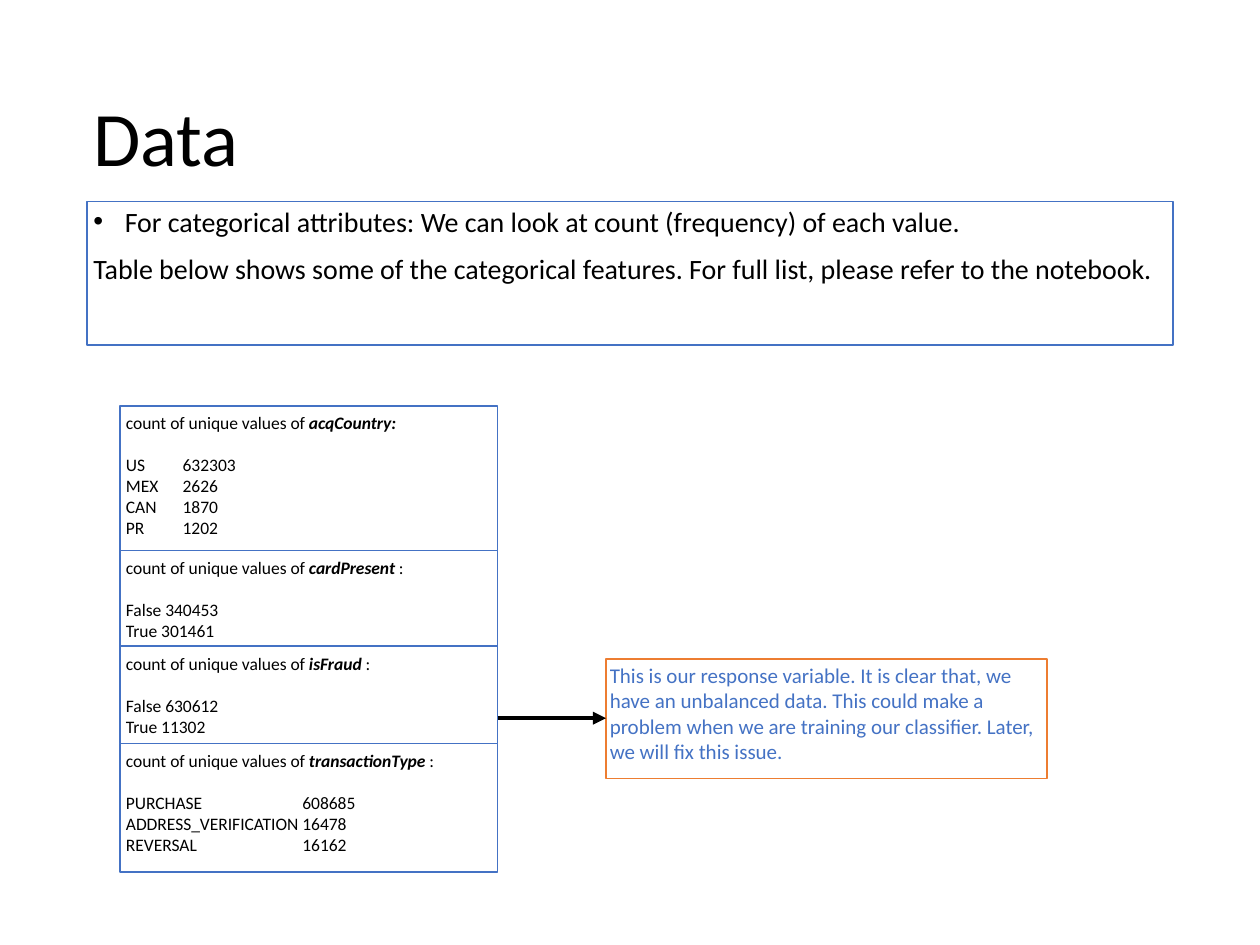
from dataclasses import dataclass
from lxml.etree import SubElement
from pptx import Presentation
from pptx.dml.color import RGBColor
from pptx.enum.shapes import MSO_CONNECTOR, MSO_SHAPE
from pptx.enum.text import MSO_ANCHOR, MSO_AUTO_SIZE, PP_ALIGN
from pptx.oxml.ns import qn
from pptx.util import Inches, Pt


@dataclass
class Theme:
    face: str = "Calibri"
    ink: str = "000000"
    paper: str = "FFFFFF"
    blue: str = "4472C4"
    orange: str = "ED7D31"
    title: int = 44
    body: int = 16
    note: int = 12
    count: int = 10


theme = Theme()


def frame(shape, edge, pad=0.05, anchor=MSO_ANCHOR.TOP):
    """Paint the box and set its text margins."""
    if edge:
        shape.fill.solid()
        shape.fill.fore_color.rgb = RGBColor.from_string(theme.paper)
        shape.line.color.rgb = RGBColor.from_string(edge)
        shape.line.width = Pt(1)
    text = shape.text_frame
    text.word_wrap = True
    text.auto_size = MSO_AUTO_SIZE.NONE
    text.vertical_anchor = anchor
    text.margin_left = text.margin_right = Inches(pad)
    text.margin_top = text.margin_bottom = Inches(pad)
    return text


def style(para, size, color=theme.ink):
    para.alignment = PP_ALIGN.LEFT
    para.font.name = theme.face
    para.font.size = Pt(size)
    para.font.color.rgb = RGBColor.from_string(color)


deck = Presentation()
deck.slide_width, deck.slide_height = Inches(10), Inches(7.5)
slide = deck.slides.add_slide(deck.slide_layouts[1])
shapes = slide.shapes
title, body = slide.placeholders

# Title and body share one column
for holder, top, high in ((title, 0.4, 1.45), (body, 1.6, 1.14)):
    holder.left, holder.top = Inches(0.69), Inches(top)
    holder.width, holder.height = Inches(8.62), Inches(high)

text = frame(title, None, anchor=MSO_ANCHOR.MIDDLE)
text.text = "Data"
text.paragraphs[0].line_spacing = 0.9
style(text.paragraphs[0], theme.title)

text = frame(body, theme.blue)
text.text = (
    "For categorical attributes: We can look at count (frequency) of each value.\n"
    "Table below shows some of the categorical features. "
    "For full list, please refer to the notebook."
)
for para, hang, mark in zip(text.paragraphs, (0.25, 0), ("•", None)):
    para.line_spacing = 0.9
    para.space_before = Pt(10)
    props = para._p.get_or_add_pPr()
    props.set("marL", str(Inches(hang)))
    props.set("indent", str(-Inches(hang)))
    if mark:
        SubElement(props, qn("a:buChar")).set("char", mark)
    else:
        SubElement(props, qn("a:buNone"))
    style(para, theme.body)

# Stack of count boxes: top, height, feature, ending, tab stop, rows
left, wide = 0.95, 3
stack = (
    (3.22, 1.38, "acqCountry:", "", 0.45,
     ("US\t632303", "MEX\t2626", "CAN\t1870", "PR\t1202")),
    (4.37, 0.84, "cardPresent", " :", None, ("False 340453", "True 301461")),
    (5.13, 0.84, "isFraud", " :", None, ("False 630612", "True 11302")),
    (5.9, 1.02, "transactionType", " :", 1.4,
     ("PURCHASE\t608685", "ADDRESS_VERIFICATION\t16478", "REVERSAL\t16162")),
)
for top, high, name, end, stop, rows in stack:
    box = shapes.add_shape(MSO_SHAPE.RECTANGLE, Inches(left), Inches(top),
                           Inches(wide), Inches(high))
    box.shadow.inherit = False
    text = frame(box, theme.blue)
    head = text.paragraphs[0]
    head.space_after = Pt(12.2)
    style(head, theme.count)
    head.add_run().text = "count of unique values of "
    key = head.add_run()
    key.text = name
    key.font.bold = key.font.italic = True
    if end:
        head.add_run().text = end
    for row in rows:
        para = text.add_paragraph()
        if stop:
            tabs = SubElement(para._p.get_or_add_pPr(), qn("a:tabLst"))
            tab = SubElement(tabs, qn("a:tab"))
            tab.set("pos", str(Inches(stop)))
            tab.set("algn", "l")
        para.add_run().text = row
        style(para, theme.count)

# Note on the response variable
note = shapes.add_shape(MSO_SHAPE.RECTANGLE, Inches(4.81), Inches(5.23),
                        Inches(3.5), Inches(0.95))
note.shadow.inherit = False
text = frame(note, theme.orange, 0.03)
text.text = (
    "This is our response variable. It is clear that, we have an unbalanced data. "
    "This could make a problem when we are training our classifier. "
    "Later, we will fix this issue."
)
style(text.paragraphs[0], theme.note, theme.blue)

# Arrow from the isFraud box to the note
arrow = shapes.add_connector(MSO_CONNECTOR.STRAIGHT, Inches(left + wide),
                             Inches(5.7), note.left, Inches(5.7))
arrow.line.color.rgb = RGBColor.from_string(theme.ink)
arrow.line.width = Pt(2.5)
SubElement(arrow.line._get_or_add_ln(), qn("a:tailEnd")).set("type", "triangle")
SubElement(arrow._element.spPr, qn("a:effectLst"))

deck.save("out.pptx")
